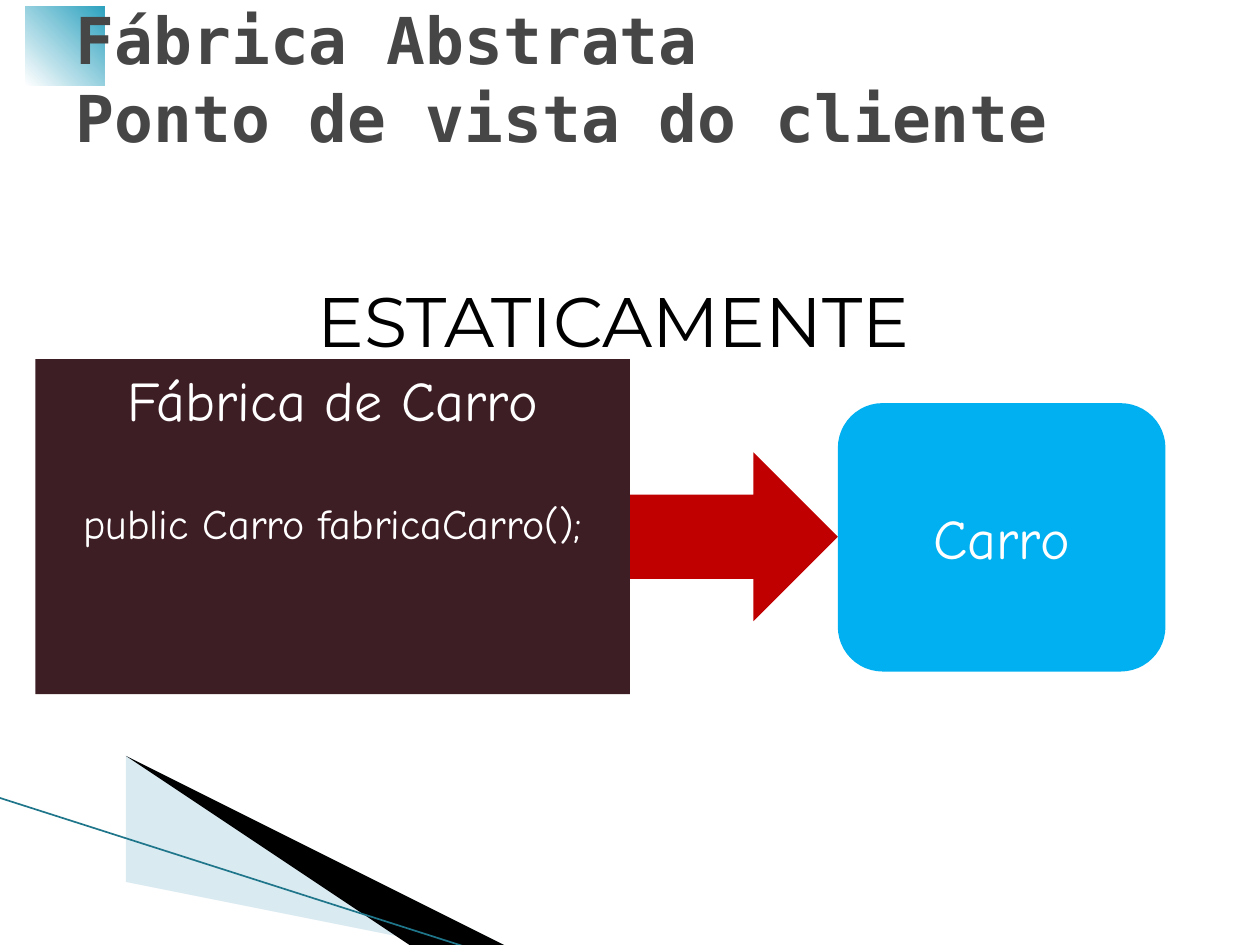
"""Build the abstract factory slide seen from the client's side."""
from typing import NamedTuple

from lxml import etree
from pptx import Presentation
from pptx.dml.color import RGBColor
from pptx.enum.shapes import MSO_CONNECTOR, MSO_SHAPE
from pptx.enum.text import MSO_ANCHOR, PP_ALIGN
from pptx.oxml.ns import qn
from pptx.util import Inches, Pt

RECT = MSO_SHAPE.RECTANGLE
ROUNDED = MSO_SHAPE.ROUNDED_RECTANGLE
ARROW = MSO_SHAPE.RIGHT_ARROW
STRAIGHT = MSO_CONNECTOR.STRAIGHT
TOP, MIDDLE = MSO_ANCHOR.TOP, MSO_ANCHOR.MIDDLE
LEFT, CENTER = PP_ALIGN.LEFT, PP_ALIGN.CENTER
WIDTH, HEIGHT = 10, 7.5
MONO, COMIC, SANS = "DejaVu Sans Mono", "Comic Neue", "Montserrat"


class Box(NamedTuple):
    """Left, top, width and height in inches."""
    x: float
    y: float
    w: float
    h: float

    def emu(self) -> list:
        """Return the four lengths in slide units."""
        return [Inches(v) for v in self]


class Block(NamedTuple):
    """A filled preset shape of the diagram."""
    kind: int
    box: Box
    fill: str


class Wedge(NamedTuple):
    """A filled sliver of the footer ornament."""
    points: list
    fill: str
    opacity: int


FACTORY = Block(RECT, Box(0.28, 2.85, 4.72, 2.66), "3E1E25")
FLOW = Block(ARROW, Box(5, 3.59, 1.65, 1.34), "C00000")
CAR = Block(ROUNDED, Box(6.65, 3.2, 2.6, 2.13), "00B0F0")
WEDGES = [
    Wedge([(0.55, 6.51), (5.95, 7.51), (4.56, 7.51), (0.55, 6.5)], "A0CBDC", 40),
    Wedge([(0.53, 6.49), (4.57, 7.51), (3.72, 7.52), (0.54, 6.5)], "000000", 100),
]


def rgb(value: str) -> RGBColor:
    """Turn a hex string into a colour."""
    return RGBColor.from_string(value)


def paint(sp, color: str, opacity: int = 100) -> None:
    """Give a shape a plain fill without line or shadow."""
    sp.shadow.inherit = False
    sp.line.fill.background()
    sp.fill.solid()
    sp.fill.fore_color.rgb = rgb(color)
    if opacity < 100:
        clr = sp.fill._xPr.find(qn("a:solidFill"))[0]
        etree.SubElement(clr, qn("a:alpha"), val=str(opacity * 1000))


def write(p, text: str, *, size: float, font: str, color: str = "FFFFFF",
          bold: bool = False, align=CENTER, before: float = 0) -> None:
    """Set the text of a paragraph and its format."""
    p.text = text
    p.alignment = align
    p.space_before = Pt(before)
    for r in p.runs:
        r.font.size, r.font.name, r.font.bold = Pt(size), font, bold
        r.font.color.rgb = rgb(color)


def add_block(s, block: Block, anchor=MIDDLE):
    """Draw a diagram shape and return its text frame."""
    sp = s.shapes.add_shape(block.kind, *block.box.emu())
    paint(sp, block.fill)
    tf = sp.text_frame
    tf.word_wrap, tf.vertical_anchor = True, anchor
    return tf


def add_wedge(s, wedge: Wedge) -> None:
    """Draw one sliver of the footer ornament."""
    start, *rest = wedge.points
    builder = s.shapes.build_freeform(*start, scale=Inches(1))
    builder.add_line_segments(rest, close=True)
    paint(builder.convert_to_shape(), wedge.fill, wedge.opacity)


def add_ornaments(s) -> None:
    """Draw the footer slivers, their edge and the corner square."""
    for wedge in WEDGES:
        add_wedge(s, wedge)
    edge = s.shapes.add_connector(
        STRAIGHT, *[Inches(v) for v in (-0.01, 6.33, 3.71, 7.52)])
    edge.line.color.rgb, edge.line.width = rgb("1F768B"), Pt(0.95)
    etree.SubElement(edge._element.spPr, qn("a:effectLst"))
    square = s.shapes.add_shape(RECT, *Box(0.2, 0.05, 0.63, 0.63).emu())
    paint(square, "FFFFFF")
    square.fill.gradient()
    square.fill.gradient_angle = 45
    for stop, color in zip(square.fill.gradient_stops, ("FFFFFF", "2DA2BF")):
        stop.color.rgb = rgb(color)


def add_title(s) -> None:
    """Format the title and bring it in front of the ornaments."""
    title = s.shapes.title
    title.left, title.top, title.width, title.height = Box(0.5, 0.3, 9, 1.25).emu()
    tf = title.text_frame
    tf.word_wrap, tf.vertical_anchor = True, MIDDLE
    tf.margin_bottom = Inches(0.67)
    write(tf.paragraphs[0], "Fábrica Abstrata\vPonto de vista do cliente",
          size=36.9, font=MONO, color="464646", bold=True, align=LEFT)
    s.shapes._spTree.append(title._element)


def add_diagram(s) -> None:
    """Draw the factory, its product and the heading."""
    tf = add_block(s, FACTORY, TOP)
    write(tf.paragraphs[0], "Fábrica de Carro", size=32, font=COMIC)
    write(tf.add_paragraph(), "public Carro fabricaCarro();",
          size=24, font=COMIC, before=37)
    heading = s.shapes.add_textbox(*Box(2.42, 2.15, 8.25, 0.89).emu()).text_frame
    heading.word_wrap = True
    write(heading.paragraphs[0], "ESTATICAMENTE",
          size=40, font=SANS, color="000000", align=LEFT)
    add_block(s, FLOW)
    write(add_block(s, CAR).paragraphs[0], "Carro", size=32, font=COMIC)


def main() -> None:
    """Build and save the slide."""
    prs = Presentation()
    prs.slide_width, prs.slide_height = Inches(WIDTH), Inches(HEIGHT)
    s = prs.slides.add_slide(prs.slide_layouts[5])
    add_ornaments(s)
    add_title(s)
    add_diagram(s)
    prs.save("out.pptx")


if __name__ == "__main__":
    main()
